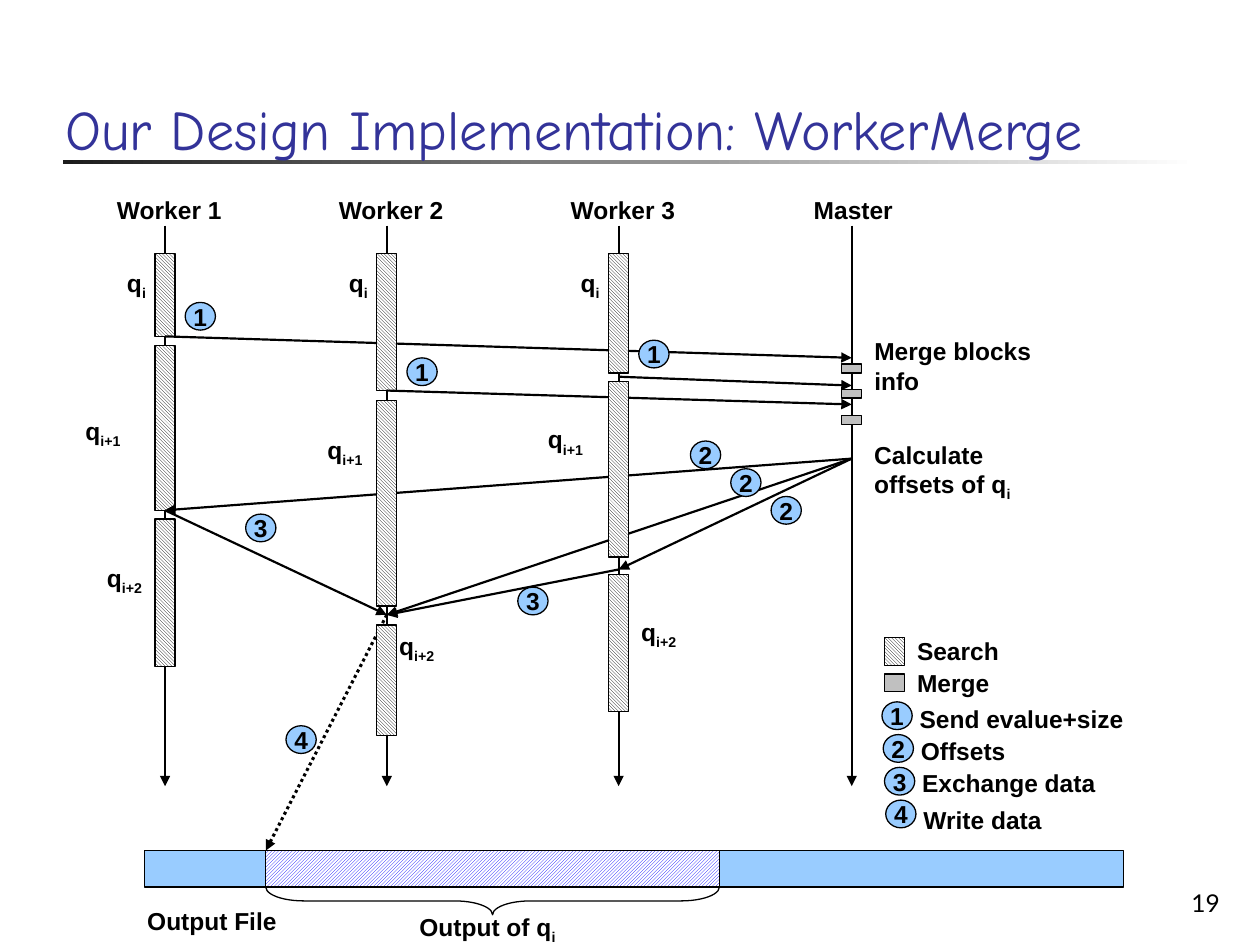
from dataclasses import dataclass

import pptx
import pptx.dml.color
import pptx.enum.dml
import pptx.enum.shapes
import pptx.enum.text
import pptx.oxml
import pptx.oxml.ns
import pptx.util
from pptx.util import Inches

SHAPE = pptx.enum.shapes.MSO_SHAPE
PATTERN = pptx.enum.dml.MSO_PATTERN
ALIGN = pptx.enum.text.PP_ALIGN
ANCHOR = pptx.enum.text.MSO_ANCHOR


@dataclass(frozen=True)
class Theme:
    black: str = "000000"
    white: str = "FFFFFF"
    title: str = "333399"
    rule: str = "1C1C1C"
    accent: str = "99CCFF"
    merge: str = "C0C0C0"
    hatch: str = "0000FF"
    title_font: str = "Comic Neue"
    label_font: str = "Arial"
    number_font: str = "Lato"
    title_size: int = 32
    label_size: int = 14
    outline: float = 0.75
    arrow: float = 1.25
    dotted: float = 1.75


THEME = Theme()
BOTTOM = 2
BAR_WIDTH = 0.16

# Per worker: bars as (top, height), labels as (left from lifeline, top, subscript)
WORKERS = [
    ("Worker 1", 0.81, [(0.51, 0.66), (1.24, 1.31), (2.62, 1.17)],
     [(-0.4, 0.58, "i"), (-0.73, 1.75, "i+1"), (-0.56, 2.92, "i+2")]),
    ("Worker 2", 2.57, [(0.51, 1.09), (1.68, 1.63), (3.46, 0.88)],
     [(-0.4, 0.58, "i"), (-0.57, 1.9, "i+1"), (0, 3.46, "i+2")]),
    ("Worker 3", 4.41, [(0.51, 0.95), (1.53, 1.39), (3.06, 1.09)],
     [(-0.4, 0.58, "i"), (-0.66, 1.82, "i+1"), (0.08, 3.35, "i+2")]),
]
MASTER_X = 6.26
STEP_BADGES = [
    ("1", 0.97, 0.9), ("1", 2.73, 1.34), ("1", 4.57, 1.2),
    ("2", 4.98, 2.0), ("2", 5.3, 2.22), ("2", 5.62, 2.44),
    ("3", 1.45, 2.58), ("3", 3.61, 3.16), ("4", 1.77, 4.26),
]


def rgb(value):
    return pptx.dml.color.RGBColor.from_string(value)


def style_paragraph(paragraph, font, size, color, bold):
    paragraph.font.name = font
    paragraph.font.size = pptx.util.Pt(size)
    paragraph.font.color.rgb = rgb(color)
    paragraph.font.bold = bold


def add_text(slide, left, top, width, height, text, subscript="", font=THEME.label_font,
             size=THEME.label_size, color=THEME.black, bold=True, anchor=ANCHOR.TOP, align=ALIGN.LEFT):
    shape = slide.shapes.add_textbox(Inches(left), Inches(top), Inches(width), Inches(height))
    frame = shape.text_frame
    frame.word_wrap = True
    frame.vertical_anchor = anchor
    paragraph = frame.paragraphs[0]
    paragraph.text = text
    paragraph.alignment = align
    if subscript:
        run = paragraph.add_run()
        run.text = subscript
        run._r.get_or_add_rPr().set("baseline", "-25000")
    style_paragraph(paragraph, font, size, color, bold)


def add_block(slide, left, top, width, height, fill=None, pattern=None, kind=SHAPE.RECTANGLE):
    """Add an outlined shape; a pattern is drawn in the fill colour on white."""
    shape = slide.shapes.add_shape(kind, Inches(left), Inches(top), Inches(width), Inches(height))
    shape.shadow.inherit = False
    shape.line.color.rgb = rgb(THEME.black)
    shape.line.width = pptx.util.Pt(THEME.outline)
    if pattern:
        shape.fill.patterned()
        shape.fill.pattern = pattern
        shape.fill.fore_color.rgb = rgb(fill)
        shape.fill.back_color.rgb = rgb(THEME.white)
    elif fill:
        shape.fill.solid()
        shape.fill.fore_color.rgb = rgb(fill)
    else:
        shape.fill.background()
    return shape


def add_search_bar(slide, left, top, height):
    return add_block(slide, left, top, BAR_WIDTH, height, THEME.black, PATTERN.DARK_DOWNWARD_DIAGONAL)


def add_badge(slide, left, top, digit):
    badge = add_block(slide, left, top, 0.24, 0.22, THEME.accent, kind=SHAPE.FLOWCHART_CONNECTOR)
    frame = badge.text_frame
    frame.word_wrap = False
    frame.vertical_anchor = ANCHOR.MIDDLE
    paragraph = frame.paragraphs[0]
    paragraph.text = digit
    paragraph.alignment = ALIGN.CENTER
    style_paragraph(paragraph, THEME.label_font, THEME.label_size, THEME.black, True)


def add_arrow(slide, start, end, width=THEME.arrow, dash=None, begin_bar=None, end_bar=None):
    """Add an arrow; a given bar is joined at the middle of its bottom side."""
    connector = slide.shapes.add_connector(
        pptx.enum.shapes.MSO_CONNECTOR.STRAIGHT, *(Inches(value) for value in (*start, *end)))
    if begin_bar is not None:
        connector.begin_connect(begin_bar, BOTTOM)
    if end_bar is not None:
        connector.end_connect(end_bar, BOTTOM)
    connector.line.color.rgb = rgb(THEME.black)
    connector.line.width = pptx.util.Pt(width)
    if dash:
        connector.line.dash_style = dash
    tail = pptx.oxml.parse_xml(f'<a:tailEnd {pptx.oxml.ns.nsdecls("a")} type="triangle"/>')
    connector.line._get_or_add_ln().append(tail)
    connector._element.spPr.append(pptx.oxml.parse_xml(f'<a:effectLst {pptx.oxml.ns.nsdecls("a")}/>'))


def build_header(slide, left, top, width, height):
    rule = add_block(slide, left + 0.08, top + height - 0.06, 9, 0.03)
    rule.line.fill.background()
    rule.fill.gradient()
    rule.fill.gradient_angle = 0
    for stop, color in zip(rule.fill.gradient_stops, (THEME.rule, THEME.white)):
        stop.color.rgb = rgb(color)
    add_text(slide, left, top, width, height, "Our Design Implementation: WorkerMerge",
             font=THEME.title_font, size=THEME.title_size, color=THEME.title, bold=False, anchor=ANCHOR.BOTTOM)


def build_sequence(slide, left, top):
    def at(x, y):
        return left + x, top + y

    first, second, third = (worker[1] for worker in WORKERS)
    offsets_sent = at(MASTER_X, 2.14)
    first_ready, second_ready, third_ready = at(first, 2.55), at(second, 3.38), at(third, 3.02)

    add_arrow(slide, second_ready, at(1.61, 5.25), THEME.dotted, pptx.enum.dml.MSO_LINE.ROUND_DOT)
    for x in (first, second, third, MASTER_X):
        add_arrow(slide, at(x, 0.29), at(x, 4.74))

    def add_bars(worker):
        _, x, bars, _ = worker
        return [add_search_bar(slide, *at(x - BAR_WIDTH / 2, y), height) for y, height in bars]

    # Messages lie behind the bars of the workers they pass
    bars = add_bars(WORKERS[0])
    add_arrow(slide, at(first, 1.17), at(MASTER_X, 1.34), begin_bar=bars[0])
    add_arrow(slide, at(third, 1.49), at(MASTER_X, 1.56))
    add_arrow(slide, offsets_sent, first_ready, end_bar=bars[1])
    add_arrow(slide, offsets_sent, second_ready)
    add_arrow(slide, offsets_sent, third_ready)
    add_arrow(slide, first_ready, second_ready, begin_bar=bars[1])
    add_arrow(slide, third_ready, second_ready)
    bars = add_bars(WORKERS[1])
    add_arrow(slide, at(second, 1.6), at(MASTER_X, 1.71), begin_bar=bars[0])
    add_bars(WORKERS[2])

    for y in (1.39, 1.59, 1.8):
        add_block(slide, *at(MASTER_X - BAR_WIDTH / 2, y), BAR_WIDTH, 0.07, THEME.merge)
    for name, x, _, labels in WORKERS:
        add_text(slide, *at(x - 0.48, 0), 1.12, 0.33, name)
        for offset, y, subscript in labels:
            add_text(slide, *at(x + offset, y), 0.6, 0.33, "q", subscript)
    add_text(slide, *at(MASTER_X - 0.4, 0), 0.96, 0.33, "Master")
    add_text(slide, *at(6.34, 1.12), 1.52, 0.57, "Merge blocks\vinfo")
    add_text(slide, *at(6.34, 1.94), 1.44, 0.57, "Calculate\voffsets of q", "i")
    for digit, x, y in STEP_BADGES:
        add_badge(slide, *at(x, y), digit)


def build_legend(slide, left, top):
    add_search_bar(slide, left + 0.02, top + 0.06, 0.22)
    add_block(slide, left + 0.02, top + 0.35, BAR_WIDTH, 0.14, THEME.merge)
    for text, y in (("Search", 0), ("Merge", 0.25)):
        add_text(slide, left + 0.18, top + y, 1.04, 0.33, text)
    steps = [("Send evalue+size", 0.54), ("Offsets", 0.79), ("Exchange data", 1.05), ("Write data", 1.34)]
    for index, (text, y) in enumerate(steps):
        x = left + 0.01 * index
        add_badge(slide, x, top + 0.57 + 0.26 * index, str(index + 1))
        add_text(slide, x + 0.2, top + y, 2.14, 0.33, text)


def build_output_file(slide, left, top, width, height):
    query_left, query_width, brace_depth = left + 0.96, 3.6, 0.22
    add_block(slide, left, top, width, height, THEME.accent)
    add_block(slide, query_left, top, query_width, height, THEME.hatch, PATTERN.DARK_UPWARD_DIAGONAL)
    middle_x, middle_y = query_left + query_width / 2, top + height + brace_depth / 2
    brace = add_block(slide, middle_x - brace_depth / 2, middle_y - query_width / 2,
                      brace_depth, query_width, kind=SHAPE.LEFT_BRACE)
    brace.rotation = 270
    brace.adjustments[0] = 1.373
    add_text(slide, left - 0.08, top + 0.39, 1.84, 0.33, "Output File")
    add_text(slide, left + 2.08, top + 0.44, 1.52, 0.33, "Output of q", "i")


def main():
    presentation = pptx.Presentation()
    presentation.slide_width, presentation.slide_height = Inches(10), Inches(7.5)
    slide = presentation.slides.add_slide(presentation.slide_layouts[6])
    build_header(slide, 0.42, 0.23, 9.28, 1.1)
    build_sequence(slide, 0.5, 1.5)
    build_output_file(slide, 1.15, 6.75, 7.77, 0.29)
    build_legend(slide, 7, 5)
    add_text(slide, 7.7, 6.83, 2.08, 0.5, "19", font=THEME.number_font, bold=False,
             anchor=ANCHOR.BOTTOM, align=ALIGN.RIGHT)
    presentation.save("out.pptx")


if __name__ == "__main__":
    main()
